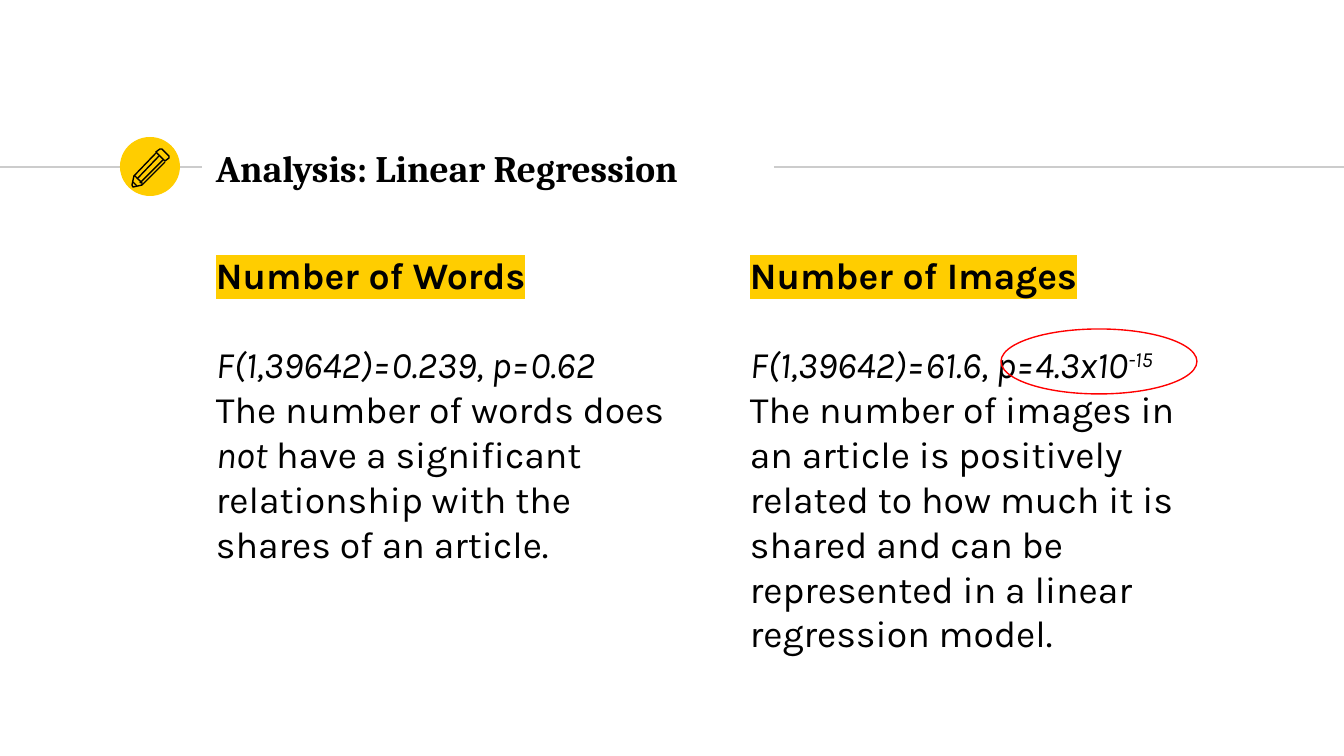
from lxml import etree
from pptx import Presentation
from pptx import util as u
from pptx.dml.color import RGBColor
from pptx.enum import shapes, text
from pptx.oxml.ns import qn

SCALE = 914400 / 134.4
YELLOW, BLACK, GREY, RED = "FFCD00", "000000", "CCCCCC", "FF0000"


def px(n):
    return u.Emu(round(n * SCALE))


def color(value):
    return RGBColor.from_string(value)


def assign(target, values):
    for key, value in values.items():
        setattr(target, key, value)


class Deck:
    inset = 13
    size = u.Pt(20)
    leading = u.Pt(24)
    stroke = u.Pt(0.75)

    def __init__(self, width, height):
        self.prs = Presentation()
        assign(self.prs, {"slide_width": px(width), "slide_height": px(height)})
        self.slide = self.prs.slides.add_slide(self.prs.slide_layouts[6])

    def outline(self, item, line):
        item.line.color.rgb = color(line)
        item.line.width = self.stroke

    def line(self, x1, y1, x2, y2, line):
        rule = self.slide.shapes.add_connector(
            shapes.MSO_CONNECTOR.STRAIGHT, px(x1), px(y1), px(x2), px(y2))
        self.outline(rule, line)
        etree.SubElement(rule._element.spPr, qn("a:effectLst"))

    def ellipse(self, x, y, w, h, fill=None, line=None):
        oval = self.slide.shapes.add_shape(
            shapes.MSO_SHAPE.OVAL, px(x), px(y), px(w), px(h))
        oval.shadow.inherit = False
        if fill:
            oval.fill.solid()
            oval.fill.fore_color.rgb = color(fill)
        else:
            oval.fill.background()
        if line:
            self.outline(oval, line)
        else:
            oval.line.fill.background()

    def polygon(self, points, line, close):
        builder = self.slide.shapes.build_freeform(*points[0], scale=SCALE)
        builder.add_line_segments(points[1:], close=close)
        part = builder.convert_to_shape()
        part.shadow.inherit = False
        part.fill.background()
        self.outline(part, line)

    def run(self, paragraph, words, font, highlight=None, baseline=None, **style):
        run = paragraph.add_run()
        run.text = words
        run.font.color.rgb = color(BLACK)
        assign(run.font, {"name": font, "size": self.size, **style})
        props = run._r.get_or_add_rPr()
        if highlight:
            mark = etree.Element(qn("a:highlight"))
            etree.SubElement(mark, qn("a:srgbClr"), val=highlight)
            props.find(qn("a:solidFill")).addnext(mark)
        if baseline:
            props.set("baseline", str(baseline * 1000))

    def text(self, x, y, w, h, paragraphs, font, anchor=text.MSO_ANCHOR.TOP):
        frame = self.slide.shapes.add_textbox(px(x), px(y), px(w), px(h)).text_frame
        sides = ("left", "right", "top", "bottom")
        assign(frame, {f"margin_{side}": px(self.inset) for side in sides})
        assign(frame, {"word_wrap": True, "vertical_anchor": anchor})
        for i, (layout, runs) in enumerate(paragraphs):
            paragraph = frame.add_paragraph() if i else frame.paragraphs[0]
            assign(paragraph, layout)
            for words, style in runs:
                self.run(paragraph, words, font, **style)

    def finding(self, x, heading, statistic, conclusion):
        row = {"line_spacing": self.leading}
        self.text(x, 239, 498, 474, [
            (row, [(heading, {"bold": True, "highlight": YELLOW})]),
            ({**row, "space_before": self.leading}, statistic),
            (row, conclusion),
        ], "Karla")


def main():
    deck = Deck(1344, 756)
    italic = {"italic": True}

    deck.line(0, 167, 202, 167, GREY)
    deck.ellipse(120, 137, 60, 59, fill=YELLOW)
    deck.line(774, 167, 1344, 167, GREY)

    deck.finding(
        203, "Number of Words",
        [("F(1,39642)=0.239, p=0.62", italic)],
        [("The number of words does ", {}), ("not", italic),
         (" have a significant relationship with the shares of an article.", {})])
    deck.text(203, 135, 726, 65,
              [({}, [("Analysis: Linear Regression", {"bold": True})])],
              "Cambria", text.MSO_ANCHOR.MIDDLE)
    deck.finding(
        737, "Number of Images",
        [("F(1,39642)=61.6, p=4.3x10", italic),
         ("-15", {"italic": True, "baseline": 30})],
        [("The number of images in an article is positively related to how much "
          "it is shared and can be represented in a linear regression model.", {})])

    eraser = [(169, 156), (162, 149), (160, 149), (156, 152), (165, 161), (169, 158)]
    barrel = [(156, 153), (134, 176), (132, 185), (133, 187), (142, 185), (165, 162)]
    deck.polygon(eraser, BLACK, close=True)
    deck.polygon(barrel, BLACK, close=False)
    deck.polygon([(134, 176), (135, 176), (142, 183), (142, 185)], BLACK, close=False)
    for edge in [(163, 160, 140, 183), (137, 179, 159, 156), (137, 186, 133, 182)]:
        deck.line(*edge, BLACK)

    deck.ellipse(1001, 329, 196, 65, line=RED)
    deck.prs.save("out.pptx")


if __name__ == "__main__":
    main()
